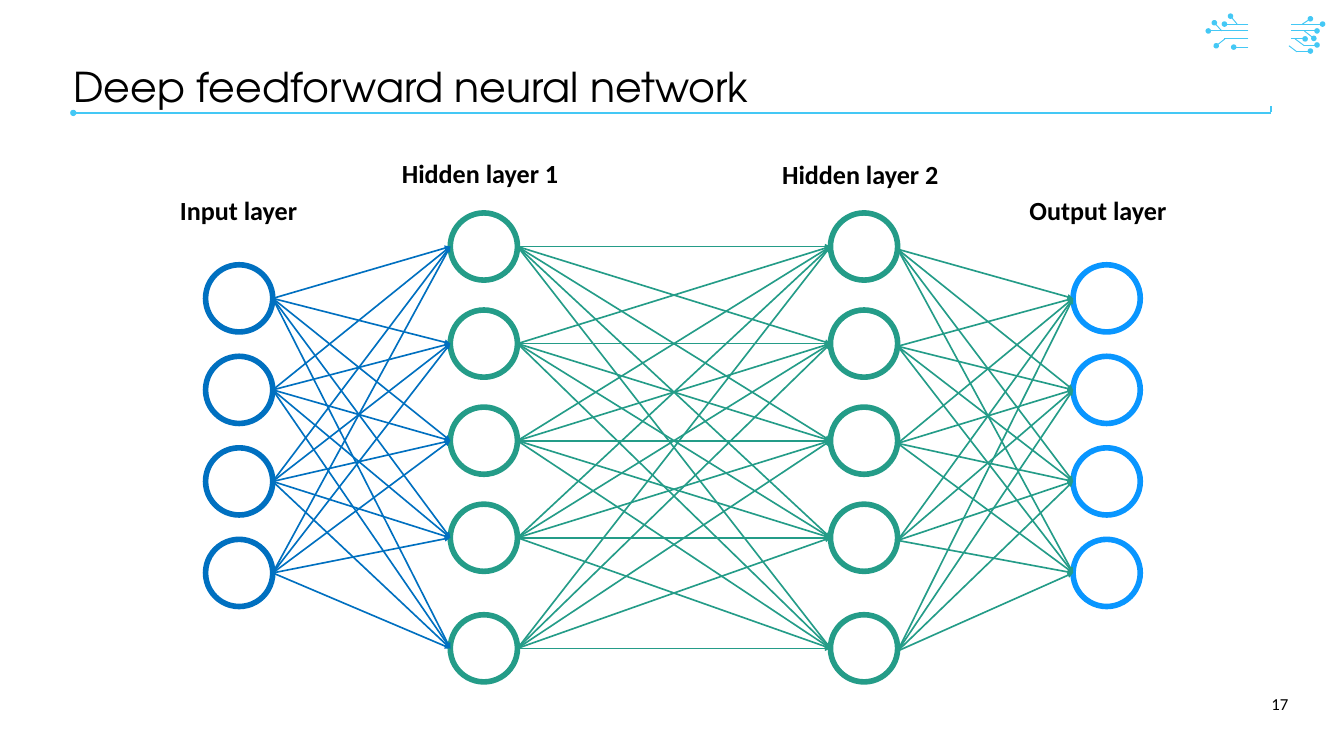
from dataclasses import dataclass
from itertools import product
from typing import NamedTuple

from lxml.etree import SubElement
from pptx import Presentation
from pptx.dml.color import RGBColor
from pptx.enum.shapes import MSO_CONNECTOR, MSO_SHAPE
from pptx.enum.text import MSO_ANCHOR, MSO_AUTO_SIZE, PP_ALIGN
from pptx.oxml.ns import qn
from pptx.shapes.connector import Connector
from pptx.slide import Slide
from pptx.text.text import TextFrame
from pptx.util import Cm, Pt

BLACK = RGBColor(0x00, 0x00, 0x00)
SKY = RGBColor(0x44, 0xC8, 0xF5)
BLUE = RGBColor(0x00, 0x70, 0xC0)
GREEN = RGBColor(0x24, 0x9C, 0x88)
AZURE = RGBColor(0x09, 0x96, 0xFF)

BODY_FONT = "Calibri"
TITLE_FONT = "TeX Gyre Adventor"
NODE_SIZE = 2.54


class Trace(NamedTuple):
    """A line of the circuit ornament, in cm, with a dot at its end or not."""
    x1: float
    y1: float
    x2: float
    y2: float
    dot: bool = True


@dataclass(frozen=True)
class Layer:
    """A column of neurons; lengths in cm."""
    label: str
    label_left: float
    label_top: float
    label_width: float
    left: float
    centers: tuple[float, ...]
    color: RGBColor
    exit_drop: float = 0


OUTER_CENTERS = tuple(11.28 + 3.46 * row for row in range(4))
HIDDEN_CENTERS = tuple(9.32 + 3.67 * row for row in range(4)) + (24.51,)

LAYERS = (
    Layer("Input layer", 6.55, 7.21, 5.0, 7.77, OUTER_CENTERS, BLUE),
    Layer("Hidden layer 1", 14.94, 5.82, 6.73, 17.02, HIDDEN_CENTERS, GREEN),
    Layer("Hidden layer 2", 29.31, 5.87, 6.5, 31.39, HIDDEN_CENTERS, GREEN, 0.1),
    Layer("Output layer", 38.66, 7.21, 5.74, 40.56, OUTER_CENTERS, AZURE),
)

TRACES = (
    Trace(47.19, 0.91, 46.28, 0.91),
    Trace(47.19, 1.17, 45.67, 1.17),
    Trace(47.19, 1.47, 46.28, 1.47, False),
    Trace(46.3, 1.47, 45.97, 1.73),
    Trace(47.19, 1.78, 46.63, 1.78),
    Trace(46.76, 0.91, 46.51, 0.61),
    Trace(46.18, 1.17, 45.9, 0.86),
    Trace(48.79, 1.17, 49.78, 1.17),
    Trace(49.3, 1.73, 48.95, 1.47, False),
    Trace(49.28, 1.7, 49.78, 1.7),
    Trace(48.79, 1.47, 49.33, 1.47),
    Trace(49.3, 1.17, 49.66, 1.45),
    Trace(48.79, 0.91, 49.99, 0.91),
    Trace(49.02, 1.96, 48.72, 1.73, False),
    Trace(49.02, 1.93, 49.53, 1.93),
    Trace(49.23, 0.91, 49.53, 0.71),
)


def add_line(slide: Slide, x1: float, y1: float, x2: float, y2: float,
             width: float) -> Connector:
    line = slide.shapes.add_connector(
        MSO_CONNECTOR.STRAIGHT, Cm(x1), Cm(y1), Cm(x2), Cm(y2))
    line.line.width = Pt(width)
    SubElement(line._element.spPr, qn("a:effectLst"))
    return line


def add_line_end(line: Connector, end: str, kind: str) -> None:
    """Put an end mark on a line whose fill is already set."""
    SubElement(line.line._get_or_add_ln(), qn(f"a:{end}"), type=kind)


def add_sky_line(slide: Slide, trace: Trace, width: float,
                 end: str = "tailEnd") -> None:
    line = add_line(slide, *trace[:4], width)
    line.line.color.rgb = SKY
    if trace.dot:
        add_line_end(line, end, "oval")


def add_text(slide: Slide, text: str, left: float, top: float, width: float,
             height: float, size: float, font: str = BODY_FONT,
             bold: bool = False) -> TextFrame:
    box = slide.shapes.add_textbox(Cm(left), Cm(top), Cm(width), Cm(height))
    frame = box.text_frame
    frame.word_wrap = True
    paragraph = frame.paragraphs[0]
    paragraph.text = text
    paragraph.font.name = font
    paragraph.font.size = Pt(size)
    paragraph.font.bold = bold
    paragraph.font.color.rgb = BLACK
    return frame


def add_layer(slide: Slide, layer: Layer) -> None:
    frame = add_text(slide, layer.label, layer.label_left, layer.label_top,
                     layer.label_width, 1.45, 28, bold=True)
    frame.word_wrap = False
    frame.auto_size = MSO_AUTO_SIZE.SHAPE_TO_FIT_TEXT
    for center in layer.centers:
        neuron = slide.shapes.add_shape(
            MSO_SHAPE.OVAL, Cm(layer.left), Cm(center - NODE_SIZE / 2),
            Cm(NODE_SIZE), Cm(NODE_SIZE))
        neuron.shadow.inherit = False
        neuron.fill.background()
        neuron.line.color.rgb = layer.color
        neuron.line.width = Pt(6)


def connect_layers(slide: Slide, source: Layer, target: Layer) -> None:
    """Join every neuron to every next one, fading between layer colours."""
    for start, end in product(source.centers, target.centers):
        arrow = add_line(slide, source.left + NODE_SIZE, start + source.exit_drop,
                         target.left, end, 1.75)
        fill = arrow.line.fill
        if source.color == target.color:
            fill.solid()
            fill.fore_color.rgb = source.color
        else:
            fill.gradient()
            for stop, color in zip(fill.gradient_stops, (source.color, target.color)):
                stop.color.rgb = color
        add_line_end(arrow, "tailEnd", "triangle")


def add_frame(slide: Slide) -> None:
    """Draw the ornament, the title with its rule, and the page number."""
    for trace in TRACES:
        add_sky_line(slide, trace, 1)
    add_sky_line(slide, Trace(2.77, 4.27, 48.03, 4.27), 2.25, "headEnd")
    add_sky_line(slide, Trace(48.03, 4.24, 48.03, 3.99, False), 2.25)

    number = add_text(slide, "17", 46.18, 25.86, 2.77, 1.52, 18)
    number.vertical_anchor = MSO_ANCHOR.MIDDLE
    number.paragraphs[0].alignment = PP_ALIGN.RIGHT

    title = add_text(slide, "Deep feedforward neural network",
                     2.77, 2.46, 41.63, 1.75, 44, TITLE_FONT)
    title.margin_left = title.margin_right = 0
    title.margin_top = title.margin_bottom = 0
    title.vertical_anchor = MSO_ANCHOR.BOTTOM
    title.paragraphs[0].line_spacing = 0.9


def main() -> None:
    presentation = Presentation()
    presentation.slide_width = Cm(50.8)
    presentation.slide_height = Cm(28.58)
    slide = presentation.slides.add_slide(presentation.slide_layouts[6])
    add_frame(slide)
    for layer in LAYERS:
        add_layer(slide, layer)
    for source, target in zip(LAYERS, LAYERS[1:]):
        connect_layers(slide, source, target)
    presentation.save("out.pptx")


if __name__ == "__main__":
    main()
